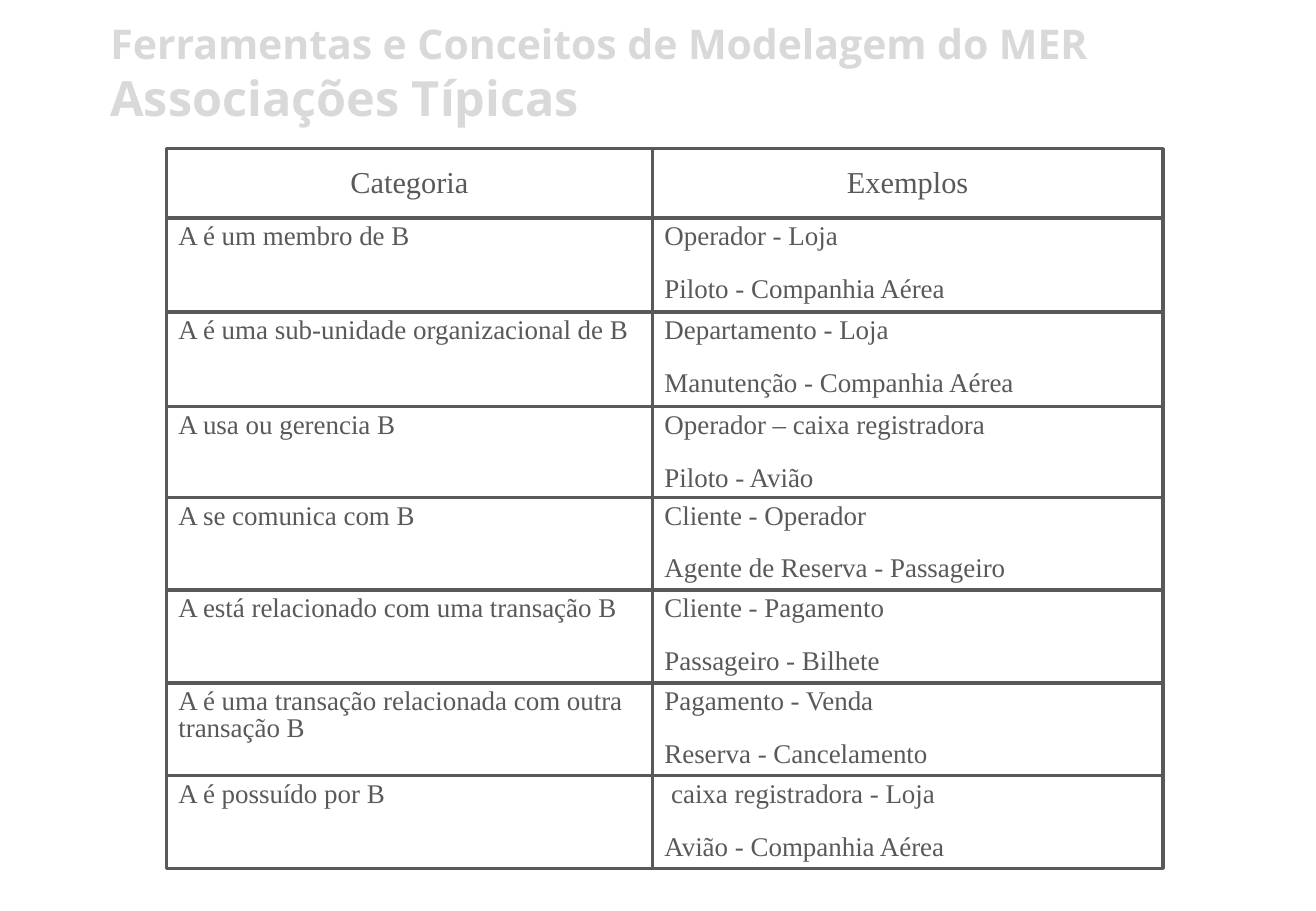
from dataclasses import dataclass

from pptx import Presentation, util as u
from pptx.dml.color import RGBColor
from pptx.enum import shapes, text


@dataclass(frozen=True)
class Theme:
    """Colours, fonts and type sizes of the slide."""
    ink: str = "595959"
    title: str = "D9D9D9"
    title_font: str = "Open Sans"
    body_font: str = "Times New Roman"
    kicker_pt: float = 24.3
    title_pt: float = 28.8
    header_pt: float = 18
    body_pt: float = 16
    example_gap_pt: float = 15.2
    border_pt: float = 2


@dataclass(frozen=True)
class Association:
    """A category with its examples and row height in centimetres."""
    category: str
    examples: tuple[str, ...]
    height: float = 1.94


THEME = Theme()
HEADER = Association("Categoria", ("Exemplos",), 1.45)
ASSOCIATIONS = [
    Association("A é um membro de B",
                ("Operador - Loja", "Piloto - Companhia Aérea"), 1.97),
    Association("A é uma sub-unidade organizacional de B",
                ("Departamento - Loja", "Manutenção - Companhia Aérea"), 1.97),
    Association("A usa ou gerencia B",
                ("Operador – caixa registradora", "Piloto - Avião"), 1.9),
    Association("A se comunica com B",
                ("Cliente - Operador", "Agente de Reserva - Passageiro")),
    Association("A está relacionado com uma transação B",
                ("Cliente - Pagamento", "Passageiro - Bilhete")),
    Association("A é uma transação relacionada com outra transação B",
                ("Pagamento - Venda", "Reserva - Cancelamento")),
    Association("A é possuído por B",
                (" caixa registradora - Loja", "Avião - Companhia Aérea")),
]
GRID_LEFT, GRID_TOP = 3.48, 3.11
COLUMN_WIDTHS = (10.16, 10.67)


def style(p, font: str, size: float, color: str, spacing: float, bold: bool = False) -> None:
    """Set the font and line spacing of a paragraph."""
    p.line_spacing = spacing
    p.font.name = font
    p.font.size = u.Pt(size)
    p.font.bold = bold
    p.font.color.rgb = RGBColor.from_string(color)


def add_title(s) -> None:
    """Add the two-line slide title."""
    sp = s.shapes.add_textbox(u.Cm(2.06), u.Cm(0.26), u.Cm(23), u.Cm(2.6))
    tf = sp.text_frame
    tf.word_wrap = True
    tf.text = "Ferramentas e Conceitos de Modelagem do MER\nAssociações Típicas"
    for p, size in zip(tf.paragraphs, (THEME.kicker_pt, THEME.title_pt)):
        style(p, THEME.title_font, size, THEME.title, 1.0, bold=True)


def add_box(s, left: float, top: float, width: float, height: float,
            lines: tuple[str, ...], header: bool) -> None:
    """Add one outlined box with its lines of text."""
    sp = s.shapes.add_shape(shapes.MSO_SHAPE.RECTANGLE, u.Cm(left), u.Cm(top),
                            u.Cm(width), u.Cm(height))
    sp.shadow.inherit = False
    sp.fill.background()
    sp.line.color.rgb = RGBColor.from_string(THEME.ink)
    sp.line.width = u.Pt(THEME.border_pt)
    tf = sp.text_frame
    tf.word_wrap = True
    tf.vertical_anchor = text.MSO_ANCHOR.MIDDLE if header else text.MSO_ANCHOR.TOP
    tf.text = "\n".join(lines)
    size, spacing = (THEME.header_pt, 0.9) if header else (THEME.body_pt, 0.84)
    for i, p in enumerate(tf.paragraphs):
        p.alignment = text.PP_ALIGN.CENTER if header else text.PP_ALIGN.LEFT
        if i:
            p.space_before = u.Pt(THEME.example_gap_pt)
        style(p, THEME.body_font, size, THEME.ink, spacing)


def add_associations(s) -> None:
    """Add the grid of categories and examples."""
    top = GRID_TOP
    for row in (HEADER, *ASSOCIATIONS):
        left = GRID_LEFT
        for width, lines in zip(COLUMN_WIDTHS, ((row.category,), row.examples)):
            add_box(s, left, top, width, row.height, lines, row is HEADER)
            left += width
        top += row.height


def main() -> None:
    """Build and save the slide."""
    prs = Presentation()
    prs.slide_width, prs.slide_height = u.Cm(27.51), u.Cm(19.05)
    s = prs.slides.add_slide(prs.slide_layouts[6])
    add_title(s)
    add_associations(s)
    prs.save("out.pptx")


if __name__ == "__main__":
    main()
